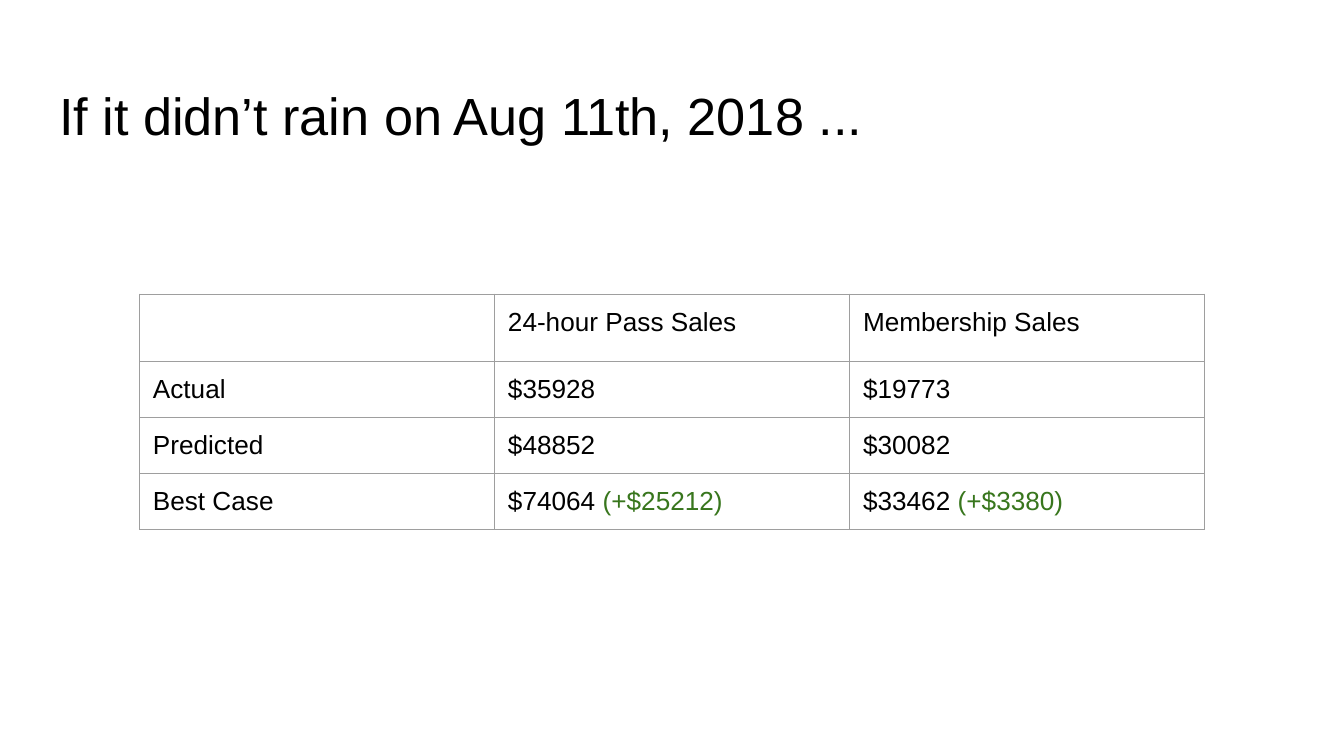
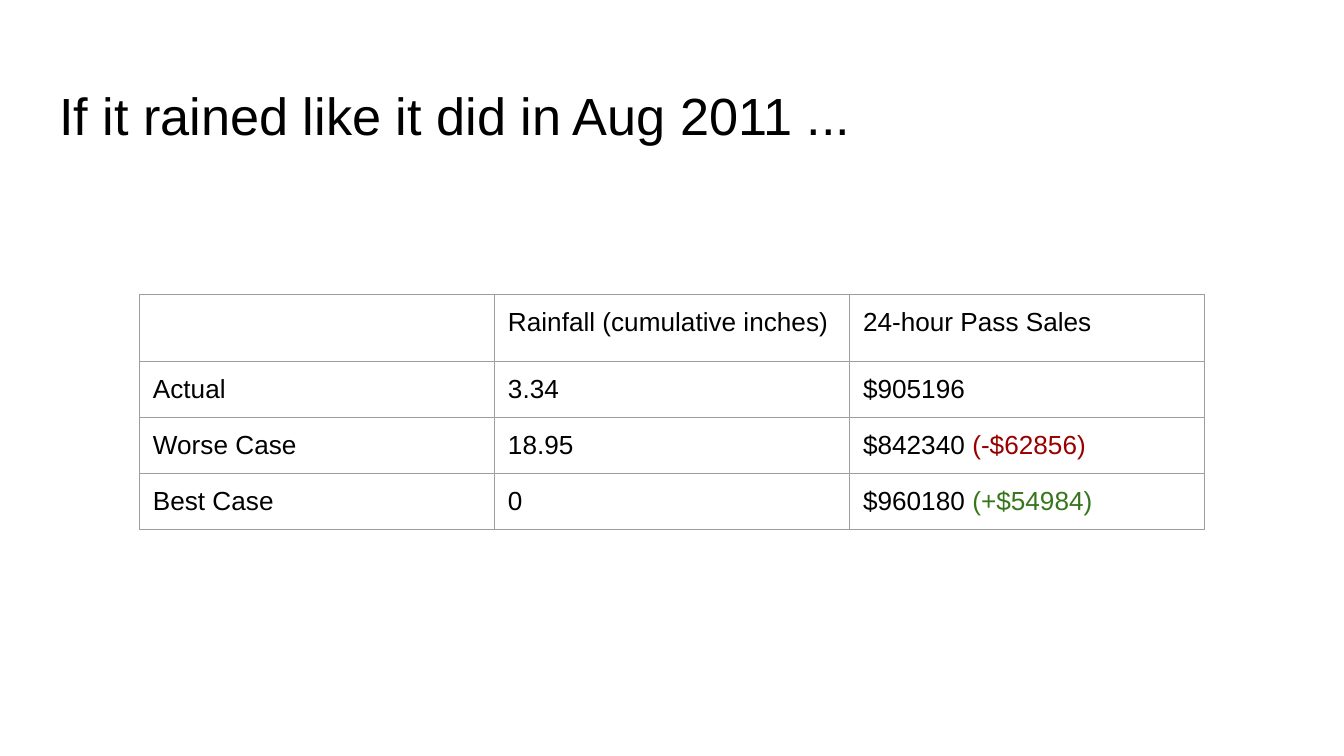
import pptx
import pptx.dml.color
import pptx.enum.text
import pptx.oxml
import pptx.oxml.ns
import pptx.util

Cm = pptx.util.Cm
FONT = "Arial"
BLACK, GREEN, RED, GREY = "000000", "38761D", "980000", "9E9E9E"
INSET = Cm(0.25)
COLUMN_WIDTH, ROW_HEIGHT = Cm(6.71), Cm(1.06)

# A cell is a list of (text, colour) runs or, when all black, a plain string.
SLIDES = [
    ("If it didn’t rain on Aug 11th, 2018 ...", [
        ["", "24-hour Pass Sales", "Membership Sales"],
        ["Actual", "$35928", "$19773"],
        ["Predicted", "$48852", "$30082"],
        ["Best Case",
         [("$74064 ", BLACK), ("(+$25212)", GREEN)],
         [("$33462 ", BLACK), ("(+$3380)", GREEN)]],
    ]),
    ("If it rained like it did in Aug 2011 ...", [
        ["", "Rainfall (cumulative inches)", "24-hour Pass Sales"],
        ["Actual", "3.34", "$905196"],
        ["Worse Case", "18.95", [("$842340 ", BLACK), ("(-$62856)", RED)]],
        ["Best Case", "0", [("$960180 ", BLACK), ("(+$54984)", GREEN)]],
    ]),
]


def add_run(paragraph, text, size, colour):
    run = paragraph.add_run()
    run.text = text
    run.font.name = FONT
    run.font.size = pptx.util.Pt(size)
    run.font.bold = False
    run.font.color.rgb = pptx.dml.color.RGBColor.from_string(colour)


def format_cell(cell):
    """Give the cell its insets, grey borders on all sides and no fill."""
    cell.margin_left = cell.margin_right = INSET
    cell.margin_top = cell.margin_bottom = INSET
    properties = cell._tc.get_or_add_tcPr()
    for side in ("lnL", "lnR", "lnT", "lnB"):
        properties.append(pptx.oxml.parse_xml(
            f'<a:{side} {pptx.oxml.ns.nsdecls("a")} w="{pptx.util.Pt(0.75)}">'
            f'<a:solidFill><a:srgbClr val="{GREY}"/></a:solidFill></a:{side}>'))
    cell.fill.background()


presentation = pptx.Presentation()
presentation.slide_width = Cm(25.4)
presentation.slide_height = Cm(14.29)
title_only = presentation.slide_layouts.get_by_name("Title Only")

for heading, rows in SLIDES:
    slide = presentation.slides.add_slide(title_only)

    title = slide.shapes.title
    title.left, title.top = Cm(0.87), Cm(1.24)
    title.width, title.height = Cm(23.67), Cm(1.6)
    frame = title.text_frame
    frame.word_wrap = True
    frame.auto_size = pptx.enum.text.MSO_AUTO_SIZE.NONE
    frame.vertical_anchor = pptx.enum.text.MSO_ANCHOR.TOP
    frame.margin_left = frame.margin_right = frame.margin_bottom = INSET
    frame.margin_top = Cm(0.33)
    frame.paragraphs[0].alignment = pptx.enum.text.PP_ALIGN.LEFT
    add_run(frame.paragraphs[0], heading, 28, BLACK)

    table = slide.shapes.add_table(
        len(rows), len(rows[0]), Cm(2.64), Cm(5.56),
        COLUMN_WIDTH * len(rows[0]), ROW_HEIGHT * len(rows)).table
    table.first_row = table.horz_banding = False
    for row_index, row in enumerate(rows):
        for column_index, content in enumerate(row):
            cell = table.cell(row_index, column_index)
            format_cell(cell)
            if not content:
                continue
            runs = [(content, BLACK)] if isinstance(content, str) else content
            for text, colour in runs:
                add_run(cell.text_frame.paragraphs[0], text, 14, colour)

presentation.save("out.pptx")
